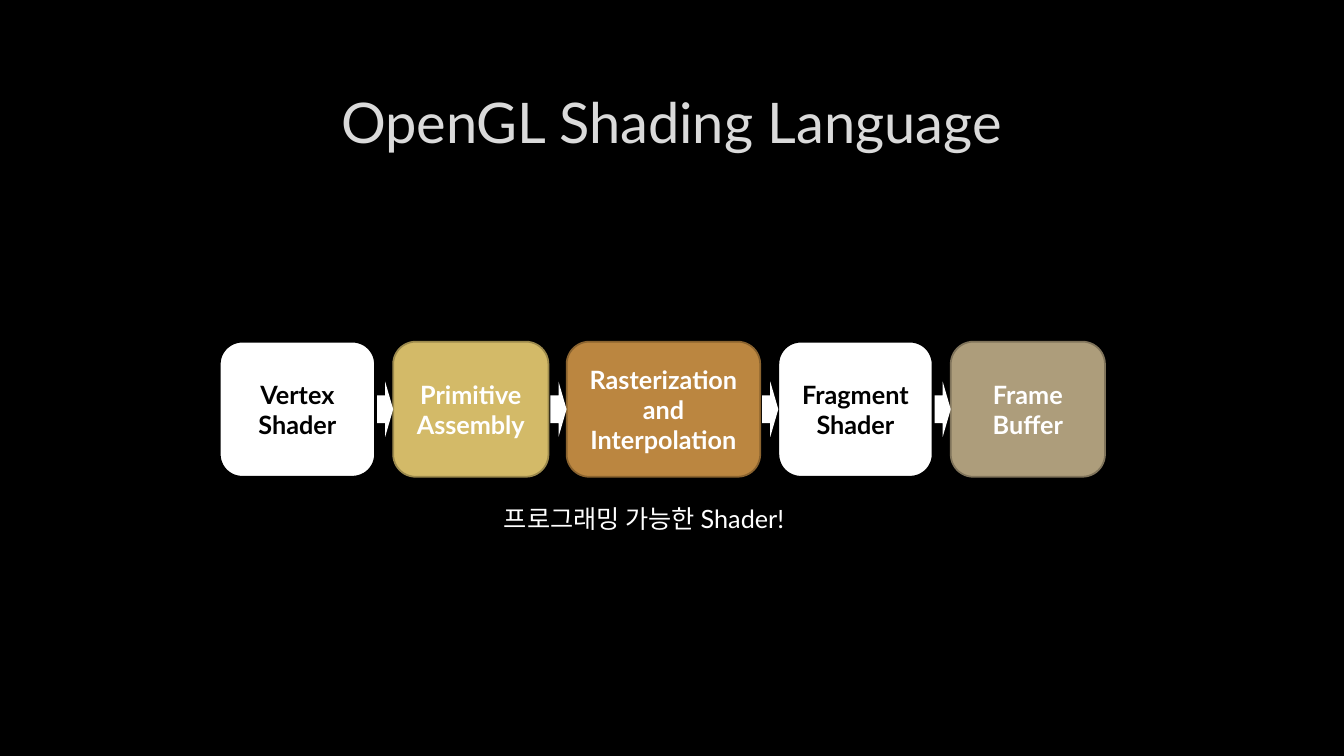
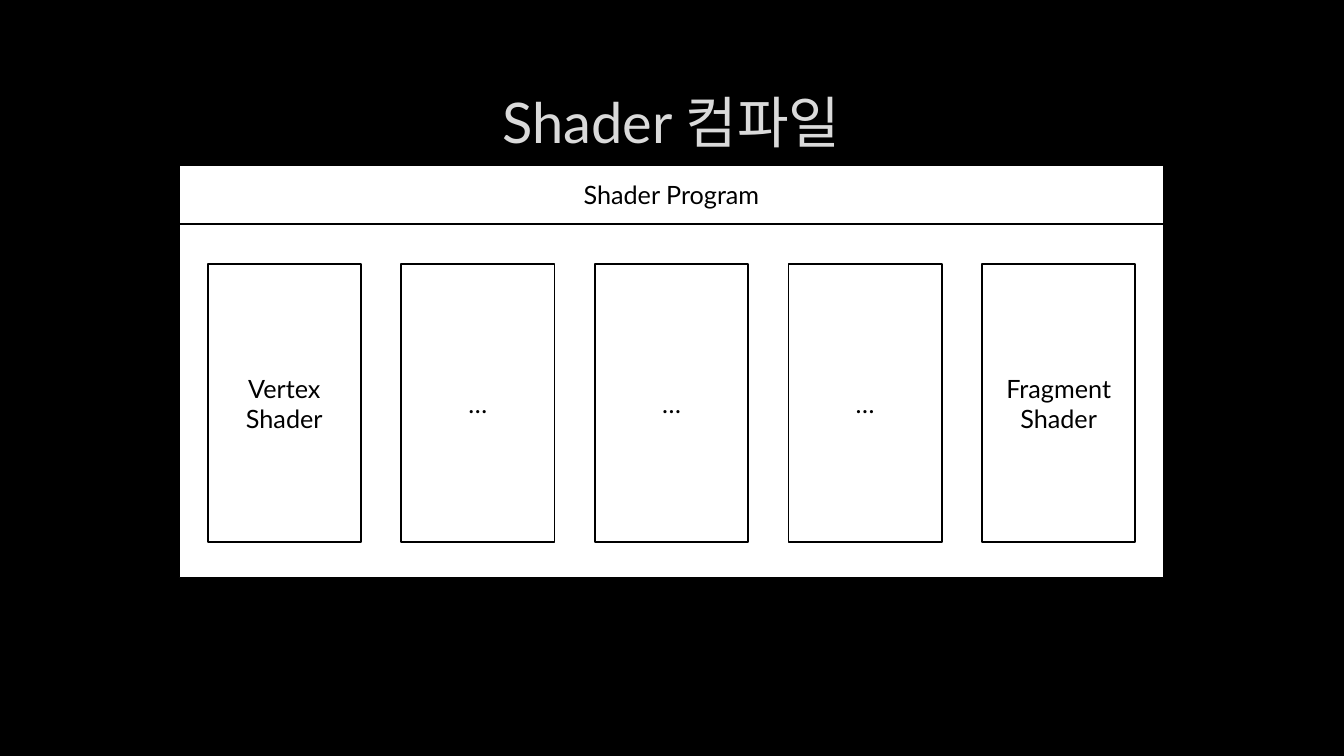
from pptx import Presentation
from pptx.dml.color import RGBColor
from pptx.enum.shapes import MSO_SHAPE
from pptx.enum.text import MSO_ANCHOR, PP_ALIGN
from pptx.util import Inches, Pt

RECT, ROUNDED, ARROW = MSO_SHAPE.RECTANGLE, MSO_SHAPE.ROUNDED_RECTANGLE, MSO_SHAPE.RIGHT_ARROW
CENTER, LEFT, MIDDLE, TOP = PP_ALIGN.CENTER, PP_ALIGN.LEFT, MSO_ANCHOR.MIDDLE, MSO_ANCHOR.TOP
FONT = "Lato"
TITLE_ONLY = 5
COLORS = {
    "black": "000000", "white": "FFFFFF", "title": "DADADA",
    "gold": "D3BA68", "gold_edge": "9C8A4D",
    "copper": "BB8640", "copper_edge": "8A632F",
    "khaki": "AD9D7B", "khaki_edge": "80745B",
}

# Label, width, fill, edge and text colour of each pipeline stage
STAGES = [
    ("Vertex Shader", 1.54, "white", "black", "black"),
    ("Primitive Assembly", 1.54, "gold", "gold_edge", "white"),
    ("Rasterization and Interpolation", 1.92, "copper", "copper_edge", "white"),
    ("Fragment Shader", 1.53, "white", "black", "black"),
    ("Frame Buffer", 1.53, "khaki", "khaki_edge", "white"),
]
PROGRAM_PARTS = ["Vertex Shader", "…", "…", "…", "Fragment Shader"]


def rgb(name):
    return RGBColor.from_string(COLORS[name])


def write(tf, text, color, size=18, bold=False, align=CENTER, anchor=MIDDLE):
    tf.word_wrap = True
    tf.vertical_anchor = anchor
    p = tf.paragraphs[0]
    p.alignment = align
    r = p.add_run()
    r.text = text
    r.font.name, r.font.size, r.font.bold = FONT, Pt(size), bold
    r.font.color.rgb = rgb(color)


def add_box(shapes, kind, box, fill="white", edge=None):
    sp = shapes.add_shape(kind, *map(Inches, box))
    sp.shadow.inherit = False
    sp.fill.solid()
    sp.fill.fore_color.rgb = rgb(fill)
    if edge:
        sp.line.color.rgb = rgb(edge)
        sp.line.width = Pt(1.25)
    else:
        sp.line.fill.background()
    return sp


def add_titled_slide(prs, title):
    s = prs.slides.add_slide(prs.slide_layouts[TITLE_ONLY])
    sp = s.shapes.title
    sp.left, sp.top, sp.width, sp.height = map(Inches, (1, 0.67, 11.32, 1.06))
    write(sp.text_frame, title, "title", size=40)
    return s


def add_pipeline(s, left, top, height, gap=0.18):
    """Row of stages, with an arrow in each gap."""
    shapes = s.shapes.add_group_shape().shapes
    arrow_w, arrow_h = 0.16, 0.55
    x = left
    for i, (label, width, fill, edge, color) in enumerate(STAGES):
        sp = add_box(shapes, ROUNDED, (x, top, width, height), fill, edge)
        write(sp.text_frame, label, color, bold=True)
        if i:
            add_box(shapes, ARROW,
                    (x - arrow_w, top + (height - arrow_h) / 2, arrow_w, arrow_h))
        x += width + gap


def add_caption(s, box, text):
    tf = s.shapes.add_textbox(*map(Inches, box)).text_frame
    write(tf, text, "white", align=LEFT, anchor=TOP)


def add_program(s, left, top, width, height):
    """Panel with a header band and evenly spaced parts."""
    shapes = s.shapes.add_group_shape().shapes
    margin, part_w, part_h, part_top = 0.28, 1.52, 2.76, 0.98
    add_box(shapes, RECT, (left, top, width, height), edge="black")
    pitch = (width - 2 * margin - part_w) / (len(PROGRAM_PARTS) - 1)
    for i, label in enumerate(PROGRAM_PARTS):
        box = (left + margin + i * pitch, top + part_top, part_w, part_h)
        sp = add_box(shapes, RECT, box, edge="black")
        write(sp.text_frame, label, "black")
    header = add_box(shapes, RECT, (left, top, width, 0.58), edge="black")
    write(header.text_frame, "Shader Program", "black")


def main():
    prs = Presentation()
    prs.slide_width, prs.slide_height = Inches(13.33), Inches(7.5)
    bg = prs.slide_master.background.fill
    bg.solid()
    bg.fore_color.rgb = rgb("black")

    # Rendering pipeline
    s = add_titled_slide(prs, "OpenGL Shading Language")
    add_pipeline(s, 2.18, 3.39, 1.34)
    add_caption(s, (4.9, 4.94, 3.36, 0.4), "프로그래밍 가능한 Shader!")

    # Shader program
    s = add_titled_slide(prs, "Shader 컴파일")
    add_program(s, 1.78, 1.64, 9.76, 4.09)

    prs.save("out.pptx")


if __name__ == "__main__":
    main()
